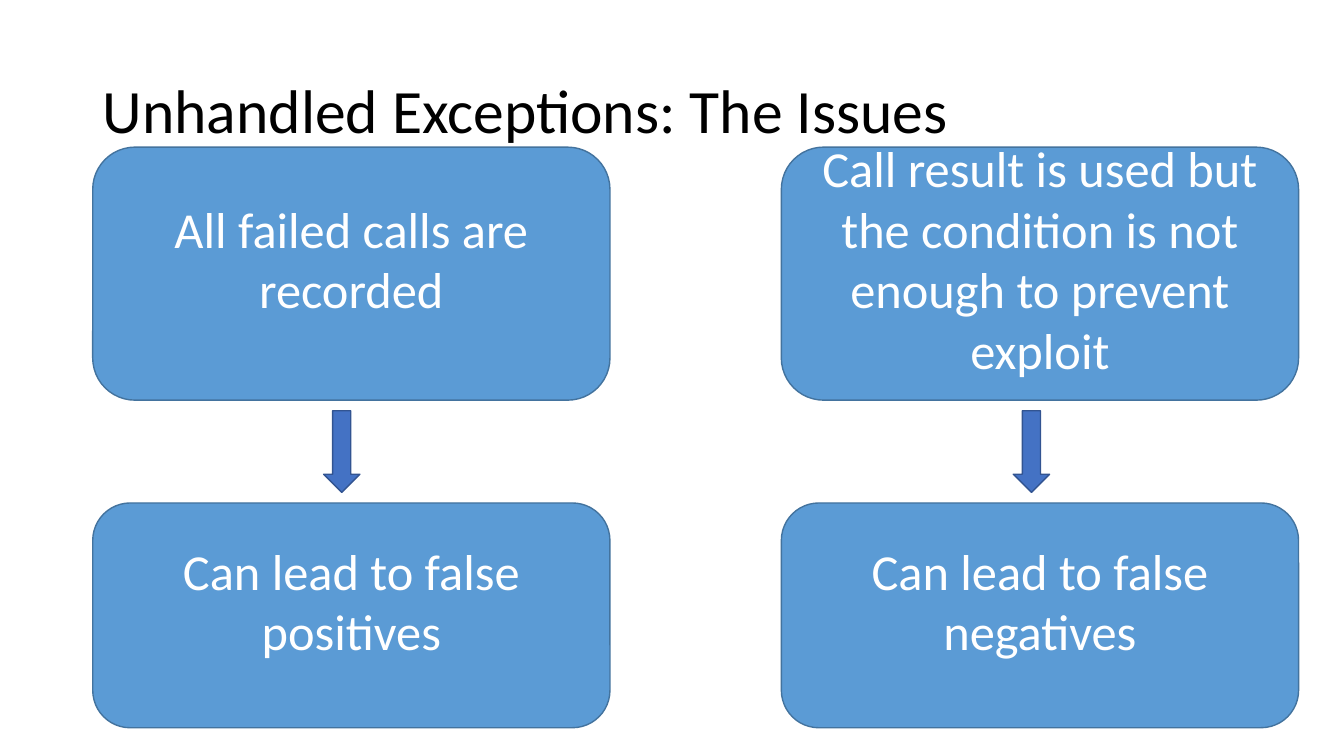
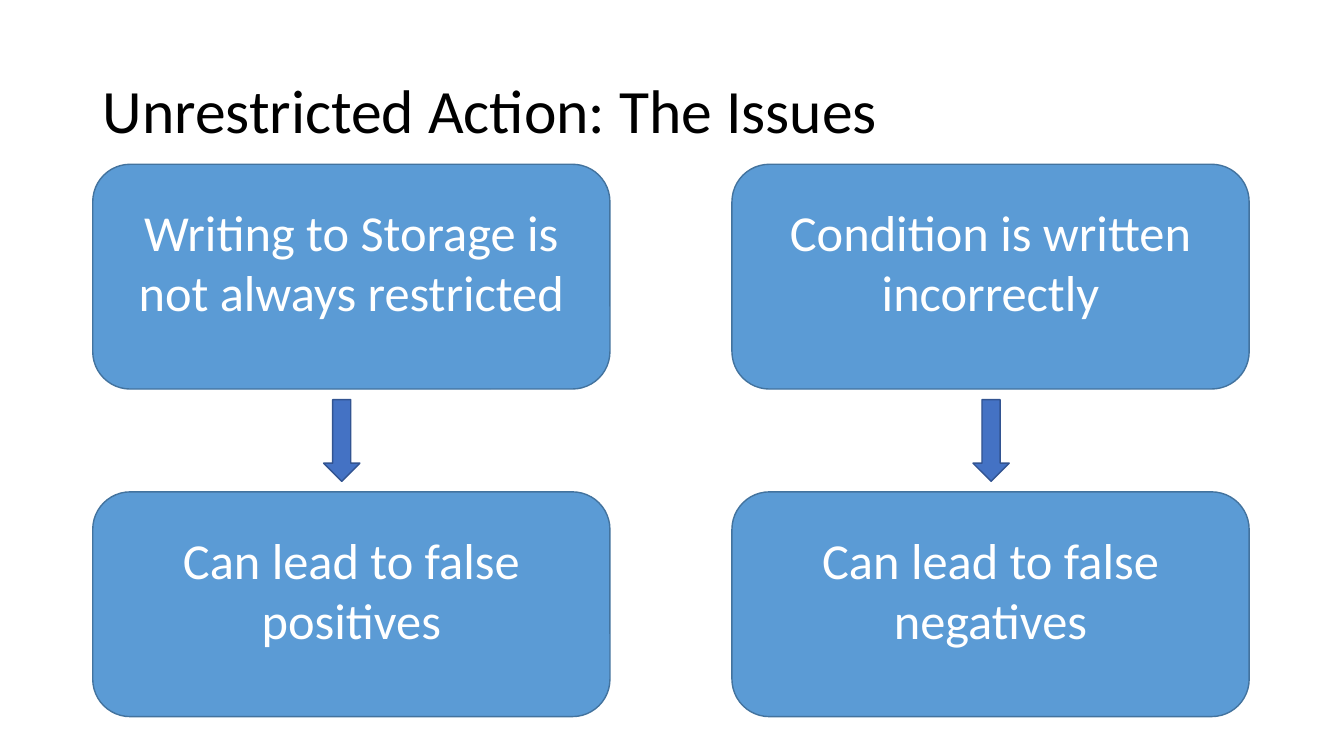
from dataclasses import dataclass

from pptx import Presentation
from pptx.dml.color import RGBColor
from pptx.enum.shapes import MSO_SHAPE
from pptx.enum.text import MSO_ANCHOR, PP_ALIGN
from pptx.shapes.autoshape import Shape
from pptx.slide import Slide
from pptx.util import Inches, Pt

ROUNDED = MSO_SHAPE.ROUNDED_RECTANGLE
DOWN_ARROW = MSO_SHAPE.DOWN_ARROW
MIDDLE = MSO_ANCHOR.MIDDLE
LEFT = PP_ALIGN.LEFT
CENTER = PP_ALIGN.CENTER

FONT = "Calibri"
COLORS = {
    "title": "000000",
    "box": "5B9BD5",
    "box_line": "43739E",
    "box_text": "FFFFFF",
    "arrow": "4472C4",
    "arrow_line": "325491",
}

MARGIN = 0.92
BOX_WIDTH = 5.13
EFFECT_HEIGHT = 2.23
ROW_GAP = 1.02
ARROW_WIDTH = 0.36
ARROW_HEIGHT = 0.81
BOX_BOTTOM_INSET = 0.35


@dataclass(frozen=True)
class Issue:
    left: float
    arrow_left: float
    cause: str
    effect: str


@dataclass(frozen=True)
class IssueSlide:
    title: str
    top: float
    cause_height: float
    issues: tuple[Issue, ...]


SLIDES = (
    IssueSlide("Unhandled Exceptions: The Issues", 1.46, 2.51, (
        Issue(MARGIN, 3.21, "All failed calls are recorded",
              "Can lead to false positives"),
        Issue(7.75, 10.05,
              "Call result is used but the condition is not enough to prevent exploit",
              "Can lead to false negatives"),
    )),
    IssueSlide("Unrestricted Action: The Issues", 1.63, 2.23, (
        Issue(MARGIN, 3.21, "Writing to Storage is not always restricted",
              "Can lead to false positives"),
        Issue(7.26, 9.65, "Condition is written incorrectly",
              "Can lead to false negatives"),
    )),
)


def color(name: str) -> RGBColor:
    return RGBColor.from_string(COLORS[name])


def write_text(shape: Shape, text: str, *, size: float, color_name: str,
               align: PP_ALIGN = LEFT, line_spacing: float = 1.0,
               bottom_inset: float = 0.05) -> None:
    frame = shape.text_frame
    frame.word_wrap = True
    frame.vertical_anchor = MIDDLE
    frame.margin_bottom = Inches(bottom_inset)
    paragraph = frame.paragraphs[0]
    paragraph.text = text
    paragraph.alignment = align
    paragraph.line_spacing = line_spacing
    paragraph.font.name = FONT
    paragraph.font.size = Pt(size)
    paragraph.font.color.rgb = color(color_name)


def add_title(slide: Slide, text: str) -> None:
    title = slide.shapes.add_textbox(
        Inches(MARGIN), Inches(0.4), Inches(11.5), Inches(1.45))
    write_text(title, text, size=44, color_name="title", line_spacing=0.9)


def add_filled_shape(slide: Slide, kind: MSO_SHAPE, left: float, top: float,
                     width: float, height: float, color_name: str) -> Shape:
    shape = slide.shapes.add_shape(
        kind, Inches(left), Inches(top), Inches(width), Inches(height))
    shape.shadow.inherit = False
    shape.fill.solid()
    shape.fill.fore_color.rgb = color(color_name)
    shape.line.color.rgb = color(f"{color_name}_line")
    shape.line.width = Pt(1)
    return shape


def add_box(slide: Slide, left: float, top: float, height: float, text: str) -> None:
    box = add_filled_shape(slide, ROUNDED, left, top, BOX_WIDTH, height, "box")
    write_text(box, text, size=36, color_name="box_text", align=CENTER,
               bottom_inset=BOX_BOTTOM_INSET)


def add_issue(slide: Slide, issue: Issue, top: float, cause_height: float) -> None:
    cause_bottom = top + cause_height
    arrow_top = cause_bottom + (ROW_GAP - ARROW_HEIGHT) / 2
    add_box(slide, issue.left, top, cause_height, issue.cause)
    add_filled_shape(slide, DOWN_ARROW, issue.arrow_left, arrow_top,
                     ARROW_WIDTH, ARROW_HEIGHT, "arrow")
    add_box(slide, issue.left, cause_bottom + ROW_GAP, EFFECT_HEIGHT, issue.effect)


def main() -> None:
    presentation = Presentation()
    presentation.slide_width = Inches(13.33)
    presentation.slide_height = Inches(7.5)
    blank_layout = presentation.slide_layouts[6]
    for content in SLIDES:
        slide = presentation.slides.add_slide(blank_layout)
        add_title(slide, content.title)
        for issue in content.issues:
            add_issue(slide, issue, content.top, content.cause_height)
    presentation.save("out.pptx")


if __name__ == "__main__":
    main()
